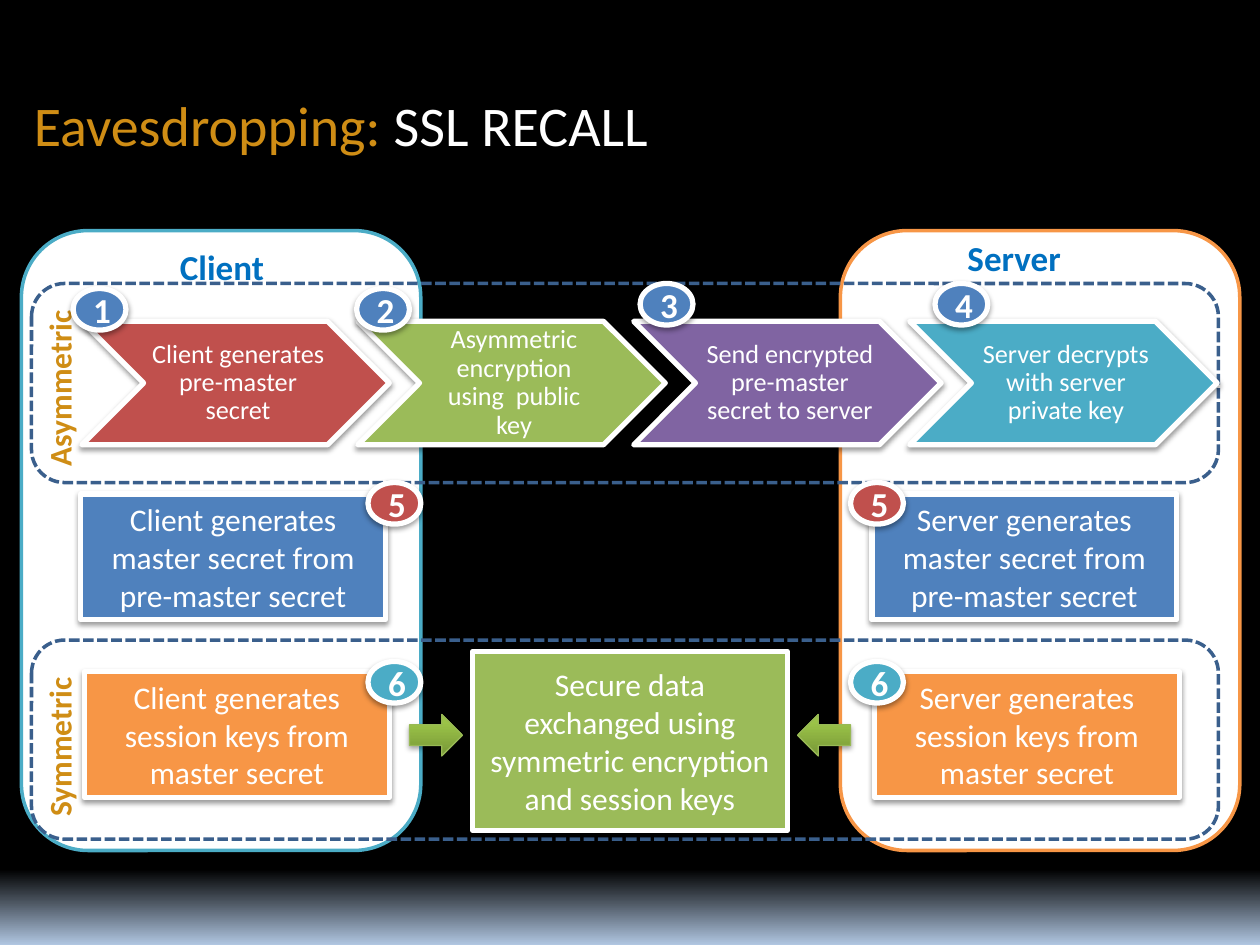
from pptx import Presentation
from pptx import util as u
from pptx.dml.color import RGBColor
from pptx.enum import dml, shapes, text
from pptx.oxml import parse_xml
from pptx.oxml.ns import nsdecls, qn

COLORS = {
    "black": "000000", "white": "FFFFFF", "gold": "CF8D15", "heading": "0070C0",
    "dash": "3A5F8C", "blue": "4F81BD", "red": "C0504D", "green": "9BBB59",
    "purple": "8064A2", "teal": "4BACC6", "orange": "F79646", "horizon": "B0C6E1",
    "arrow_dark": "779737", "arrow_mid": "9BC348", "arrow_light": "9DC746",
    "arrow_line": "98B955",
}
KINDS = shapes.MSO_SHAPE
BADGE_SIZE = (0.42, 0.33)


def color(name):
    return RGBColor.from_string(COLORS[name])


def inches(box):
    return [u.Inches(value) for value in box]


def set_font(font, size, name, bold=False):
    font.name = "Calibri"
    font.size = u.Pt(size)
    font.bold = bold
    font.color.rgb = color(name)


def set_gradient(fill, parent, stops, angle):
    fill.gradient()
    fill.gradient_angle = angle
    stop_list = parent.find(".//" + qn("a:gsLst"))
    for stop in list(stop_list):
        stop_list.remove(stop)
    for position, name in stops:
        stop_list.append(parse_xml(
            f'<a:gs {nsdecls("a")} pos="{position * 1000}">'
            f'<a:srgbClr val="{COLORS[name]}"/></a:gs>'))


def style_shape(shape, fill, line, width, shadow=0):
    if fill:
        shape.fill.solid()
        shape.fill.fore_color.rgb = color(fill)
    else:
        shape.fill.background()
    shape.line.color.rgb = color(line)
    shape.line.width = u.Pt(width)
    shape.shadow.inherit = False
    if shadow:
        effects = shape._element.spPr.find(qn("a:effectLst"))
        effects.append(parse_xml(
            f'<a:outerShdw {nsdecls("a")} blurRad="{u.Pt(3.1)}" dist="{u.Pt(1.6)}" '
            f'dir="5400000" rotWithShape="0"><a:srgbClr val="{COLORS["black"]}">'
            f'<a:alpha val="{shadow * 1000}"/></a:srgbClr></a:outerShdw>'))


def write_centred(shape, words, size, bold=False):
    frame = shape.text_frame
    frame.word_wrap = True
    frame.vertical_anchor = text.MSO_ANCHOR.MIDDLE
    paragraph = frame.paragraphs[0]
    paragraph.text = words
    paragraph.alignment = text.PP_ALIGN.CENTER
    set_font(paragraph.font, size, "white", bold)
    return frame


def add_block(slide, kind, box, fill, words, size, bold=False):
    shape = slide.shapes.add_shape(kind, *inches(box))
    style_shape(shape, fill, "white", 3, 38)
    write_centred(shape, words, size, bold)


def add_badge(slide, left, top, number, fill):
    add_block(slide, KINDS.OVAL, (left, top, *BADGE_SIZE), fill, number, 20, True)


def add_label(slide, box, words, size, name, rotation=0):
    label = slide.shapes.add_textbox(*inches(box))
    label.rotation = rotation
    label.text_frame.word_wrap = True
    paragraph = label.text_frame.paragraphs[0]
    paragraph.text = words
    set_font(paragraph.font, size, name, True)


def add_title(slide, box):
    title = slide.shapes.add_textbox(*inches(box))
    title.text_frame.word_wrap = True
    paragraph = title.text_frame.paragraphs[0]
    for words, name in (("Eavesdropping: ", "gold"), ("SSL RECALL", "white")):
        run = paragraph.add_run()
        run.text = words
        set_font(run.font, 32, name)


def add_panel(slide, box, line):
    panel = slide.shapes.add_shape(KINDS.ROUNDED_RECTANGLE, *inches(box))
    style_shape(panel, "white", line, 2)


def add_band(slide, box, words, label_width, label_middle):
    left, top, _, _ = box
    band = slide.shapes.add_shape(KINDS.ROUNDED_RECTANGLE, *inches(box))
    style_shape(band, None, "dash", 2)
    band.line.dash_style = dml.MSO_LINE.SQUARE_DOT
    label_box = (left + 0.22 - label_width / 2, top + label_middle - 0.2, label_width, 0.4)
    add_label(slide, label_box, words, 18, "gold", 270)


def add_step(slide, box, words, fill, number, badge_left, badge_top):
    left, top, width, height = box
    point = height / 2
    outline = [(width - point, 0), (width, point), (width - point, height),
               (0, height), (point, point)]
    builder = slide.shapes.build_freeform(u.Inches(left), u.Inches(top))
    builder.add_line_segments([inches((left + x, top + y)) for x, y in outline])
    chevron = builder.convert_to_shape()
    style_shape(chevron, fill, "white", 3, 38)
    frame = write_centred(chevron, words, 15)
    frame.margin_left, frame.margin_right = inches((0.55, 0.51))
    frame.margin_top = frame.margin_bottom = u.Inches(0.02)
    frame.paragraphs[0].line_spacing = 0.9
    add_badge(slide, left + badge_left, top + badge_top, number, "blue")


def add_handshake(slide, box):
    left, top, width, height = box
    steps = [
        ("Client generates pre-master secret", "red", -0.07, -0.26),
        ("Asymmetric encryption using  public key", "green", -0.01, -0.26),
        ("Send encrypted pre-master secret to server", "purple", 0.05, -0.3),
        ("Server decrypts with server private key", "teal", 0.2, -0.3),
    ]
    step_width = 2.44
    pitch = (width - step_width) / (len(steps) - 1)
    for index, (words, fill, badge_left, badge_top) in enumerate(steps):
        step_box = (left + index * pitch, top, step_width, height)
        add_step(slide, step_box, words, fill, str(index + 1), badge_left, badge_top)


def add_pair(slide, box, action, fill):
    left, top, width, height = box
    card_width = 2.42
    for side, card_left in (("Client", left), ("Server", left + width - card_width)):
        add_block(slide, KINDS.RECTANGLE, (card_left, top, card_width, height), fill,
                  f"{side} generates {action}", 18)


def add_badge_pair(slide, top, number, fill):
    for left in (2.92, 6.75):
        add_badge(slide, left, top, number, fill)


def add_exchange(slide, box):
    left, top, width, height = box
    add_block(slide, KINDS.RECTANGLE, box, "green",
              "Secure data exchanged using symmetric encryption and session keys", 18)
    arrows = ((KINDS.RIGHT_ARROW, left - 0.5), (KINDS.LEFT_ARROW, left + width + 0.08))
    stops = ((0, "arrow_dark"), (80, "arrow_mid"), (100, "arrow_light"))
    for kind, arrow_left in arrows:
        arrow = slide.shapes.add_shape(kind, *inches((arrow_left, top + 0.5, *BADGE_SIZE)))
        style_shape(arrow, "green", "arrow_line", 0.75, 35)
        set_gradient(arrow.fill, arrow._element, stops, 90)


def main():
    presentation = Presentation()
    presentation.slide_width, presentation.slide_height = inches((10, 7.5))
    slide = presentation.slides.add_slide(presentation.slide_layouts[6])
    set_gradient(slide.background.fill, slide._element,
                 ((0, "black"), (92, "black"), (100, "horizon")), 270)
    add_title(slide, (0.17, 0.67, 9.83, 0.64))
    add_panel(slide, (6.67, 1.83, 3.17, 4.92), "orange")
    add_panel(slide, (0.17, 1.83, 3.17, 4.92), "teal")
    add_label(slide, (1.33, 1.9, 1.08, 0.44), "Client", 20, "heading")
    add_label(slide, (7.58, 1.83, 1.08, 0.44), "Server", 20, "heading")
    add_band(slide, (0.25, 5.08, 9.42, 1.58), "Symmetric", 1.42, 0.79)
    add_band(slide, (0.25, 2.25, 9.42, 1.58), "Asymmetric", 1.72, 0.69)
    add_handshake(slide, (0.65, 2.55, 9.01, 0.98))
    add_pair(slide, (0.64, 3.92, 8.7, 1), "master secret from pre-master secret", "blue")
    add_badge_pair(slide, 3.83, "5", "red")
    add_pair(slide, (0.67, 5.33, 8.69, 1), "session keys from master secret", "orange")
    add_exchange(slide, (3.75, 5.17, 2.5, 1.42))
    add_badge_pair(slide, 5.25, "6", "teal")
    presentation.save("out.pptx")


if __name__ == "__main__":
    main()
